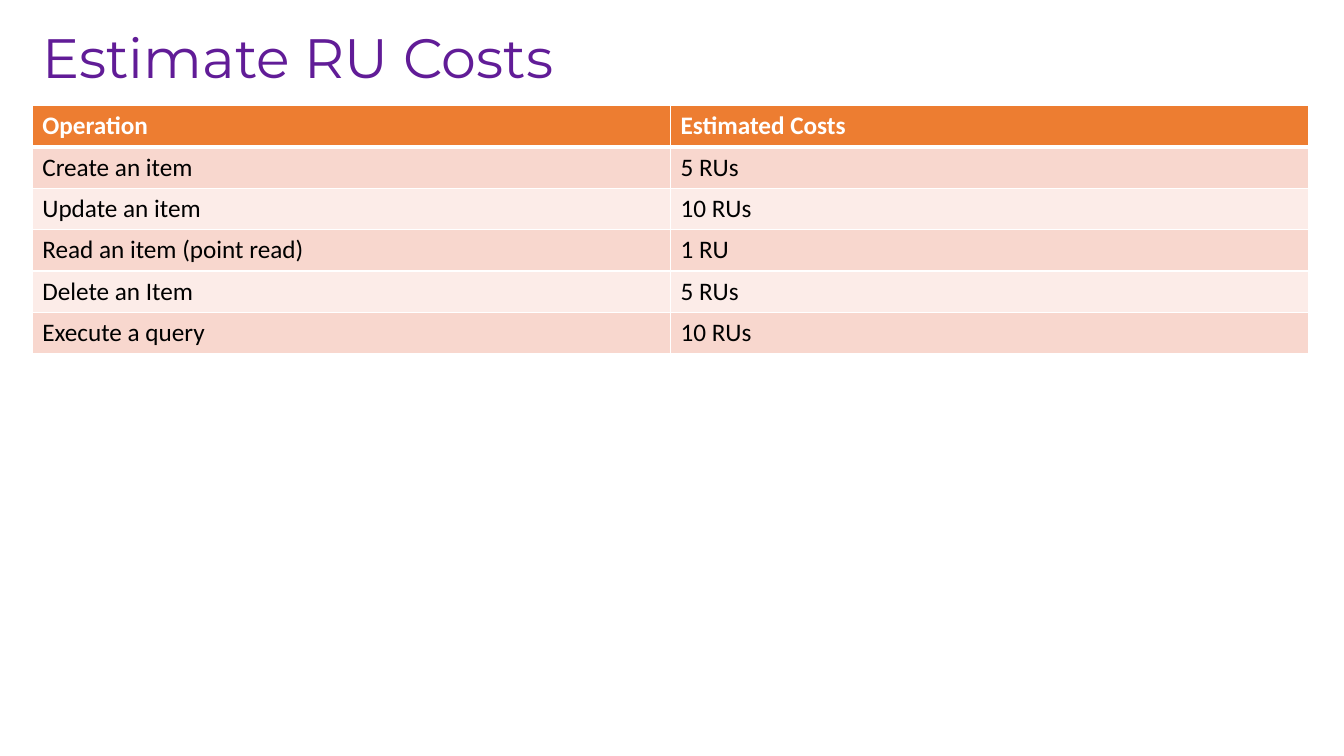
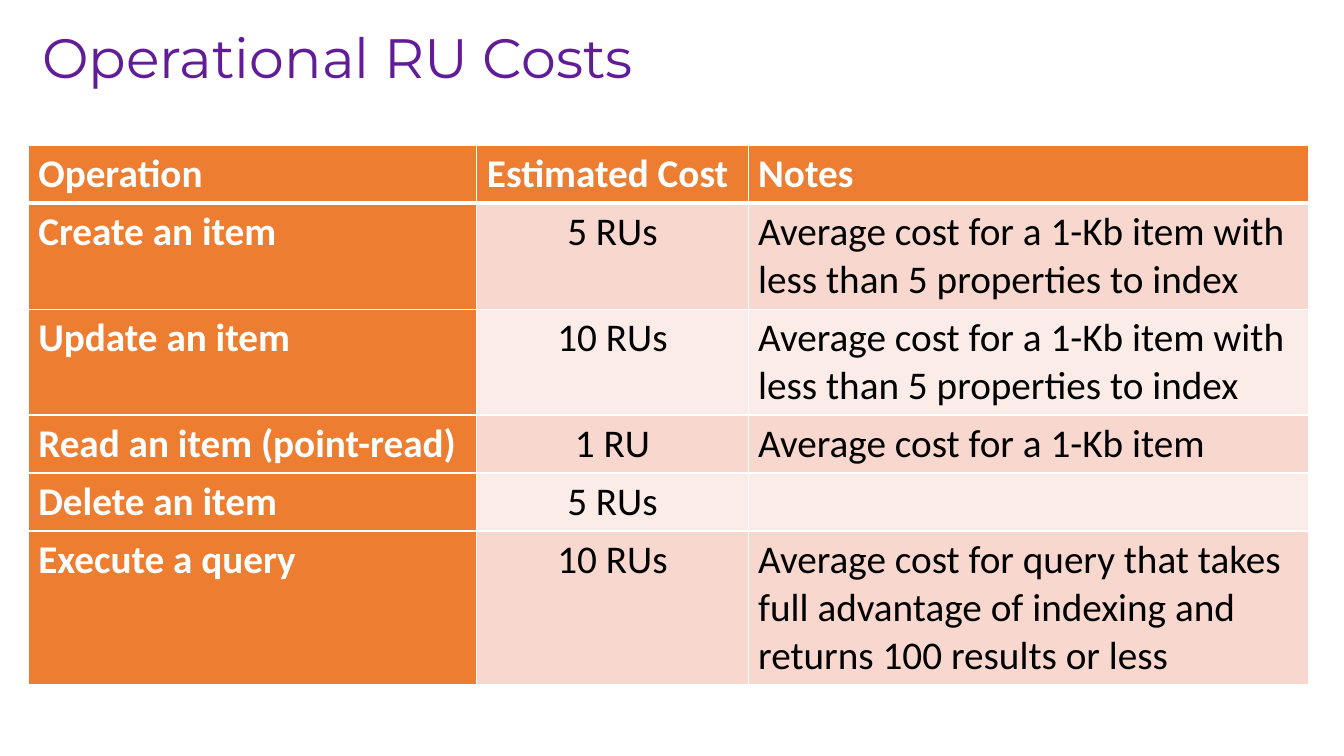
from dataclasses import dataclass

import lxml.etree
import pptx
import pptx.dml.color
import pptx.enum.text
import pptx.oxml.ns
import pptx.util

Inches = pptx.util.Inches
Pt = pptx.util.Pt
Align = pptx.enum.text.PP_ALIGN

COLOURS = {
    "title": "611C97",
    "header": "ED7D31",
    "odd_row": "F8D7CE",
    "even_row": "FCECE8",
    "light": "FFFFFF",
    "dark": "000000",
}
TITLE_FONT = "Montserrat"
TABLE_FONT = "Calibri"
TITLE_ONLY_LAYOUT = 5
MINIMUM_ROW_HEIGHT = 0.41  # rows grow to fit their text
THIN_BORDER, HEADER_BORDER = 1, 3


@dataclass
class CostSlide:
    title: str
    left: float
    top: float
    column_widths: list[float]
    rows: list[tuple[str, ...]]
    text_size: float
    header_column: bool = False
    centred_column: int | None = None


INDEXED_ITEM_NOTE = "Average cost for a 1-Kb item with less than 5 properties to index"

COST_SLIDES = [
    CostSlide(
        title="Estimate RU Costs",
        left=0.32,
        top=1.05,
        column_widths=[6.33, 6.33],
        text_size=18,
        rows=[
            ("Operation", "Estimated Costs"),
            ("Create an item", "5 RUs"),
            ("Update an item", "10 RUs"),
            ("Read an item (point read)", "1 RU"),
            ("Delete an Item", "5 RUs"),
            ("Execute a query", "10 RUs"),
        ],
    ),
    CostSlide(
        title="Operational RU Costs",
        left=0.28,
        top=1.44,
        column_widths=[4.45, 2.69, 5.56],
        text_size=28,
        header_column=True,
        centred_column=1,
        rows=[
            ("Operation", "Estimated Cost", "Notes"),
            ("Create an item", "5 RUs", INDEXED_ITEM_NOTE),
            ("Update an item", "10 RUs", INDEXED_ITEM_NOTE),
            ("Read an item (point-read)", "1 RU", "Average cost for a 1-Kb item"),
            ("Delete an item", "5 RUs", ""),
            (
                "Execute a query",
                "10 RUs",
                "Average cost for query that takes full advantage of indexing "
                "and returns 100 results or less",
            ),
        ],
    ),
]


def rgb(name: str) -> pptx.dml.color.RGBColor:
    return pptx.dml.color.RGBColor.from_string(COLOURS[name])


def write_text(
    text_frame,
    text: str,
    *,
    size: float,
    font: str,
    colour: str,
    bold: bool = False,
    align: Align = Align.LEFT,
    line_spacing: float | None = None,
) -> None:
    paragraph = text_frame.paragraphs[0]
    paragraph.alignment = align
    paragraph.line_spacing = line_spacing
    if not text:
        return
    run = paragraph.add_run()
    run.text = text
    run.font.size = Pt(size)
    run.font.name = font
    run.font.bold = bold
    run.font.color.rgb = rgb(colour)


def set_borders(cell, top: float, bottom: float) -> None:
    """Add white cell borders; call before the cell gets its fill."""
    properties = cell._tc.get_or_add_tcPr()
    qualified = pptx.oxml.ns.qn
    widths = {"lnL": THIN_BORDER, "lnR": THIN_BORDER, "lnT": top, "lnB": bottom}
    for side, width in widths.items():
        line = lxml.etree.SubElement(properties, qualified(f"a:{side}"), w=str(Pt(width)))
        fill = lxml.etree.SubElement(line, qualified("a:solidFill"))
        lxml.etree.SubElement(fill, qualified("a:srgbClr"), val=COLOURS["light"])


def add_title(slide, text: str) -> None:
    title = slide.shapes.title
    title.left, title.top = Inches(0.32), Inches(0.23)
    title.width, title.height = Inches(12.66), Inches(0.74)
    title.text_frame.auto_size = pptx.enum.text.MSO_AUTO_SIZE.NONE
    title.text_frame.vertical_anchor = pptx.enum.text.MSO_ANCHOR.MIDDLE
    write_text(title.text_frame, text, size=39.6, font=TITLE_FONT,
               colour="title", line_spacing=0.9)


def add_cost_table(slide, content: CostSlide) -> None:
    row_count = len(content.rows)
    table = slide.shapes.add_table(
        row_count,
        len(content.column_widths),
        Inches(content.left),
        Inches(content.top),
        Inches(sum(content.column_widths)),
        Inches(MINIMUM_ROW_HEIGHT * row_count),
    ).table
    table.first_col = content.header_column
    for column, width in zip(table.columns, content.column_widths):
        column.width = Inches(width)

    for row_index, row in enumerate(content.rows):
        in_header_row = row_index == 0
        band = "odd_row" if row_index % 2 else "even_row"
        for column_index, text in enumerate(row):
            cell = table.cell(row_index, column_index)
            is_header = in_header_row or (content.header_column and column_index == 0)
            is_centred = not in_header_row and column_index == content.centred_column
            set_borders(
                cell,
                top=HEADER_BORDER if row_index == 1 else THIN_BORDER,
                bottom=HEADER_BORDER if in_header_row else THIN_BORDER,
            )
            cell.fill.solid()
            cell.fill.fore_color.rgb = rgb("header" if is_header else band)
            write_text(
                cell.text_frame,
                text,
                size=content.text_size,
                font=TABLE_FONT,
                colour="light" if is_header else "dark",
                bold=is_header,
                align=Align.CENTER if is_centred else Align.LEFT,
            )


def main() -> None:
    presentation = pptx.Presentation()
    presentation.slide_width = Inches(13.33)
    presentation.slide_height = Inches(7.5)
    layout = presentation.slide_layouts[TITLE_ONLY_LAYOUT]
    for content in COST_SLIDES:
        slide = presentation.slides.add_slide(layout)
        add_title(slide, content.title)
        add_cost_table(slide, content)
    presentation.save("out.pptx")


if __name__ == "__main__":
    main()
